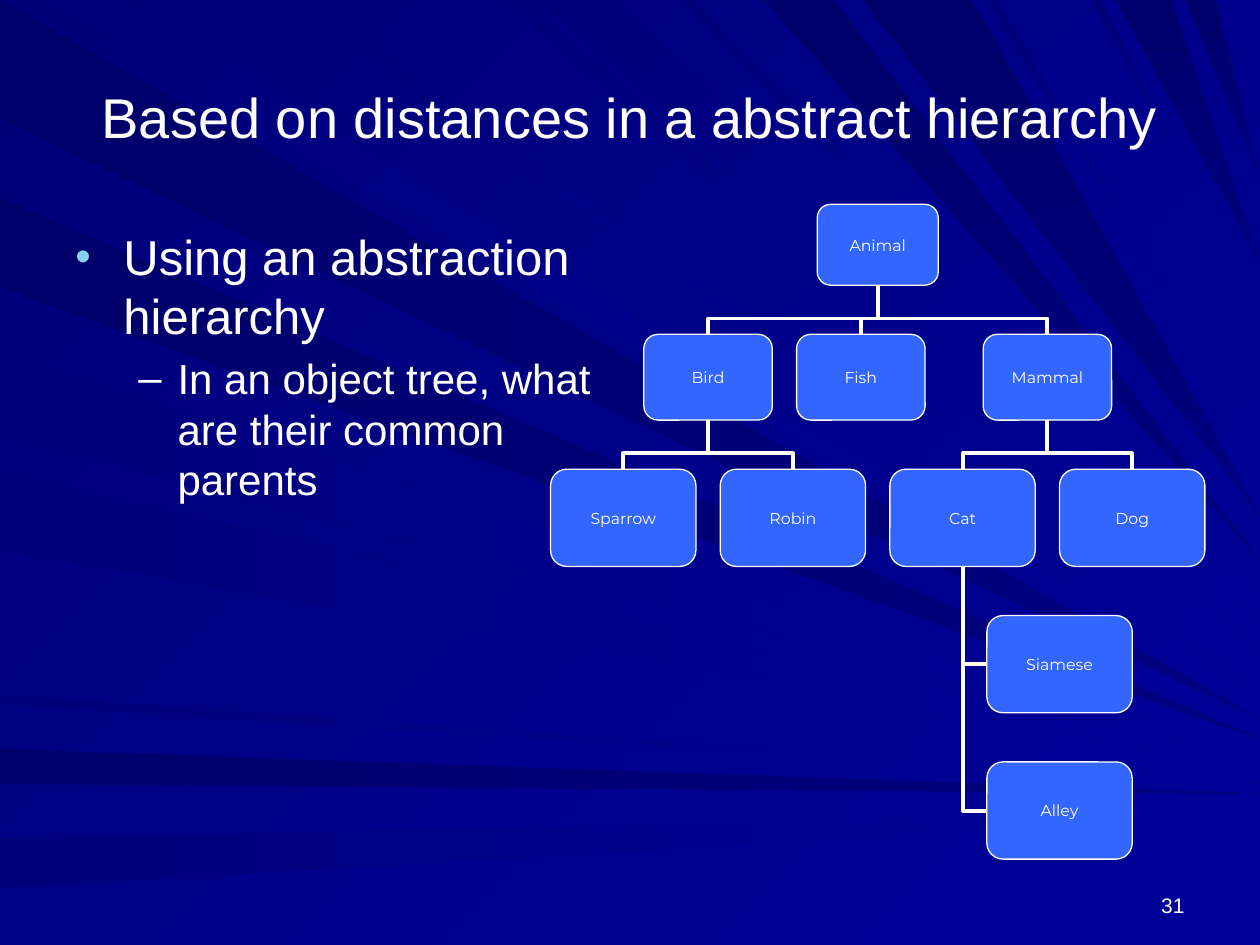
import lxml.etree
import pptx
import pptx.dml.color
import pptx.enum.shapes
import pptx.enum.text
import pptx.oxml.ns
import pptx.util

Cm, Pt = pptx.util.Cm, pptx.util.Pt
ALIGN, ANCHOR = pptx.enum.text.PP_ALIGN, pptx.enum.text.MSO_ANCHOR
qn = pptx.oxml.ns.qn

THEME = {
    "text": "FFFFFF", "bullet": "86D1EC", "node": "3366FF", "line": "FFFFFF",
    "backdrop": ("000078", "000099", 45),
    "dark_ray": ("00006B", "000080"), "light_ray": ("00007B", "000099"),
    "font": "Arial", "node_font": "Montserrat",
    "title": 32, "body": (28, 24), "number": 12, "node_size": 9,
    "node_line": 0.75, "branch_line": 2.25,
}

TITLE = "Based on distances in a abstract hierarchy"
NUMBER = "31"
# text, bullet, bullet colour and size %, left indent and hanging indent in cm
BULLETS = [
    ("Using an abstraction hierarchy", "•", THEME["bullet"], 90, 0.97, -0.97),
    ("In an object tree, what are their common parents", "–", None, None, 2.06, -0.79),
]
ROOT = "Animal"
BRANCHES = {"Bird": ["Sparrow", "Robin"], "Fish": [], "Mammal": ["Cat", "Dog"]}
HANGING = {"Cat": ["Siamese", "Alley"]}

# Tree measures in cm
SIZES = [(2.44, 1.63), (2.59, 1.73), (2.93, 1.96)]
TREE_LEFT, TREE_TOP, GAP_X, GAP_Y = 11.1, 4.12, 0.49, 0.99
ELBOW = 32300

# Backdrop rays in cm: each narrows from a stretch of one edge to a height on the right edge
WIDTH, HEIGHT = 25.4, 19.05
FANS = [
    ("left", "dark_ray", 0, [(0, 2.4, 14.5), (4, 5.8, 14.9), (15.1, 15.8, 16)]),
    ("left", "light_ray", 0, [(7.1, 8.8, 15.3), (9.5, 11.1, 15.4), (14, 14.2, 15.8),
                              (16.9, 17.9, 16.4)]),
    ("top", "light_ray", 45, [(0.7, 2.6, 14.3), (5.7, 6.3, 14), (10.1, 10.6, 13.1),
                              (10.8, 12.5, 12.5), (13.7, 14, 11.8), (19.9, 20.1, 9.1),
                              (22, 22.2, 6.4)]),
    ("top", "dark_ray", 90, [(15.4, 16.8, 11.3), (17.4, 19.6, 10.4), (22.5, 23.6, 5.3),
                             (23.9, 24.5, 3.6)]),
]


def rgb(code):
    return pptx.dml.color.RGBColor.from_string(code)


def paint(fill, start, end=None, angle=0):
    """Fill solid, or as a gradient whose angle runs clockwise."""
    if end is None:
        fill.solid()
        fill.fore_color.rgb = rgb(start)
        return
    fill.gradient()
    fill.gradient_angle = 360 - angle
    for stop, code in zip(fill.gradient_stops, (start, end)):
        stop.color.rgb = rgb(code)


def write(p, text, size, font=THEME["font"], **paragraph_format):
    for name, value in paragraph_format.items():
        setattr(p, name, value)
    r = p.add_run()
    r.text = text
    for name, value in {"size": Pt(size), "name": font}.items():
        setattr(r.font, name, value)
    r.font.color.rgb = rgb(THEME["text"])


def add_text_box(slide, left, top, width, height, anchor):
    tf = slide.shapes.add_textbox(Cm(left), Cm(top), Cm(width), Cm(height)).text_frame
    tf.word_wrap, tf.vertical_anchor = True, anchor
    return tf


def add_bullet(p, char, color, percent, left, hanging):
    pPr = p._p.get_or_add_pPr()
    pPr.set("marL", str(Cm(left)))
    pPr.set("indent", str(Cm(hanging)))
    if color:
        clr = lxml.etree.SubElement(pPr, qn("a:buClr"))
        lxml.etree.SubElement(clr, qn("a:srgbClr"), val=color)
        lxml.etree.SubElement(pPr, qn("a:buSzPct"), val=str(percent * 1000))
    lxml.etree.SubElement(pPr, qn("a:buFont"), typeface=THEME["font"])
    lxml.etree.SubElement(pPr, qn("a:buChar"), char=char)


def add_ray(slide, edge, shade, angle, start, end, tip):
    base = [(0, start), (0, end)] if edge == "left" else [(start, 0), (end, 0)]
    points = [(Cm(x), Cm(y)) for x, y in base + [(WIDTH, tip)]]
    builder = slide.shapes.build_freeform(*points[0])
    builder.add_line_segments(points[1:], close=True)
    sp = builder.convert_to_shape()
    sp.shadow.inherit = False
    paint(sp.fill, *THEME[shade], angle)
    sp.line.fill.background()


def tree_layout():
    """Return a box (left, top, width, height) in cm for each name, and the links."""
    tops = [TREE_TOP]
    for _, height in SIZES + SIZES[-1:]:
        tops.append(tops[-1] + height + GAP_Y)
    boxes = {}

    def place(name, level, center):
        w, h = SIZES[min(level, 2)]
        boxes[name] = (center - w / 2, tops[level], w, h)

    def center(name):
        return boxes[name][0] + boxes[name][2] / 2

    leaf_width = SIZES[2][0]
    for i, leaf in enumerate(leaf for leaves in BRANCHES.values() for leaf in leaves):
        place(leaf, 2, TREE_LEFT + i * (leaf_width + GAP_X) + leaf_width / 2)
    previous = None
    for name, leaves in BRANCHES.items():
        if leaves:
            place(name, 1, sum(map(center, leaves)) / len(leaves))
        else:
            place(name, 1, center(previous) + SIZES[1][0] + GAP_X)
        previous = name
    ends = list(BRANCHES)
    place(ROOT, 0, (center(ends[0]) + center(ends[-1])) / 2)
    for parent, children in HANGING.items():
        for i, child in enumerate(children):
            place(child, 3 + i, center(parent) + GAP_X + leaf_width / 2)

    links = [(p, c, True) for p, cs in HANGING.items() for c in cs]
    links += [(p, c, False) for p, cs in {**BRANCHES, ROOT: ends}.items() for c in cs]
    return boxes, links


def add_link(slide, parent, child, hanging):
    """Join a child to its parent's bottom, from its left side if hanging, else its top."""
    px, py = parent[0] + parent[2] / 2, parent[1] + parent[3]
    if hanging:
        cx, cy, turn = child[0], child[1] + child[3] / 2, 180
        x1, y1, x2, y2 = px, py, cx, cy
    else:
        cx, cy = child[0] + child[2] / 2, child[1]
        mx, my, w, h = (px + cx) / 2, (py + cy) / 2, cy - py, abs(px - cx)
        x1, y1, x2, y2 = mx - w / 2, my - h / 2, mx + w / 2, my + h / 2
        turn = 270
        if cx > px:
            turn, x1, x2 = 90, x2, x1
    kind = pptx.enum.shapes.MSO_CONNECTOR.ELBOW
    link = slide.shapes.add_connector(kind, Cm(x1), Cm(y1), Cm(x2), Cm(y2))
    link.line.color.rgb, link.line.width = rgb(THEME["line"]), Pt(THEME["branch_line"])
    spPr = link._element.spPr
    spPr.find(qn("a:xfrm")).set("rot", str(turn * 60000))
    geom = spPr.find(qn("a:prstGeom"))
    if hanging:
        geom.set("prst", "bentConnector2")
    else:
        guides = geom.find(qn("a:avLst"))
        lxml.etree.SubElement(guides, qn("a:gd"), name="adj1", fmla=f"val {ELBOW}")
    lxml.etree.SubElement(spPr, qn("a:effectLst"))


def add_node(slide, name, box):
    sp = slide.shapes.add_shape(pptx.enum.shapes.MSO_SHAPE.ROUNDED_RECTANGLE, *map(Cm, box))
    sp.shadow.inherit = False
    paint(sp.fill, THEME["node"])
    sp.line.color.rgb, sp.line.width = rgb(THEME["line"]), Pt(THEME["node_line"])
    tf = sp.text_frame
    tf.word_wrap, tf.vertical_anchor = False, ANCHOR.MIDDLE
    write(tf.paragraphs[0], name, THEME["node_size"], THEME["node_font"], alignment=ALIGN.CENTER)


def main():
    prs = pptx.Presentation()
    prs.slide_width, prs.slide_height = Cm(WIDTH), Cm(HEIGHT)
    slide = prs.slides.add_slide(prs.slide_layouts[6])
    paint(slide.background.fill, *THEME["backdrop"])
    for edge, shade, angle, rays in FANS:
        for ray in rays:
            add_ray(slide, edge, shade, angle, *ray)

    tf = add_text_box(slide, 18.21, 17.35, 5.92, 1.27, ANCHOR.BOTTOM)
    write(tf.paragraphs[0], NUMBER, THEME["number"], alignment=ALIGN.RIGHT)
    tf = add_text_box(slide, 1.27, 0.76, 22.86, 3.18, ANCHOR.MIDDLE)
    write(tf.paragraphs[0], TITLE, THEME["title"], alignment=ALIGN.CENTER)
    tf = add_text_box(slide, 1.27, 4.45, 11.2, 12.57, ANCHOR.TOP)
    for level, ((text, *bullet), size) in enumerate(zip(BULLETS, THEME["body"])):
        p = tf.add_paragraph() if level else tf.paragraphs[0]
        write(p, text, size, level=level, space_before=Pt(size * 0.2))
        add_bullet(p, *bullet)

    boxes, links = tree_layout()
    for parent, child, hanging in links:
        add_link(slide, boxes[parent], boxes[child], hanging)
    for name, box in boxes.items():
        add_node(slide, name, box)
    prs.save("out.pptx")


if __name__ == "__main__":
    main()
